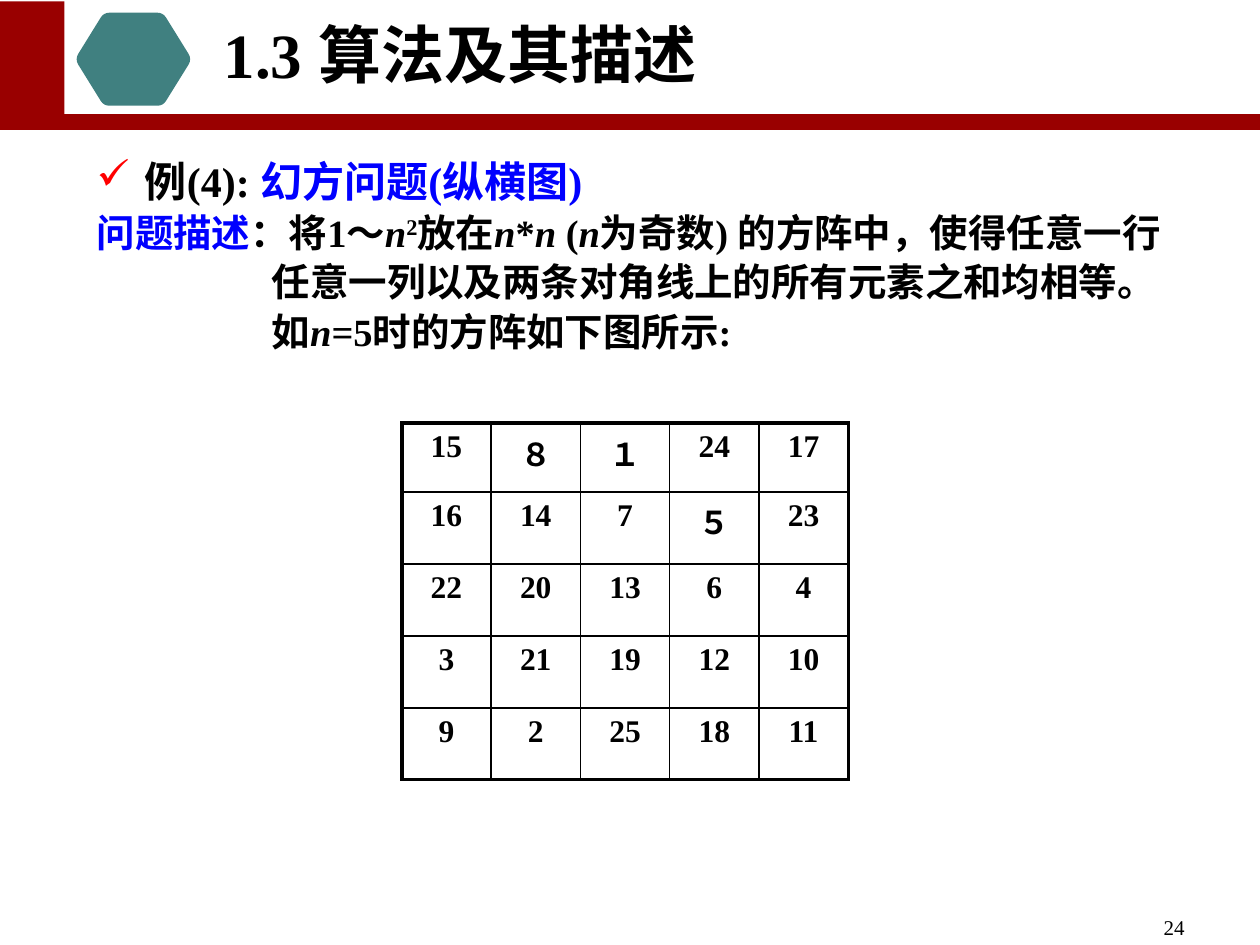
from lxml.etree import SubElement
from pptx import Presentation
from pptx.dml.color import RGBColor
from pptx.enum.shapes import MSO_SHAPE
from pptx.enum.text import PP_ALIGN
from pptx.oxml.ns import qn
from pptx.util import Cm, Pt

RED = RGBColor(0x99, 0, 0)
TICK = "FF0000"
TEAL = RGBColor(0x40, 0x80, 0x80)
BLUE = RGBColor(0, 0, 0xFF)
BLACK = RGBColor(0, 0, 0)
WHITE = RGBColor(0xFF, 0xFF, 0xFF)
LATIN, HAN = "Times New Roman", "Noto Sans CJK SC"

TITLE = {"size": Pt(36), "bold": True}
HEAD = {"size": Pt(24), "bold": True}
BODY = {"size": Pt(22), "bold": True}
CELL = {"size": Pt(18), "bold": True}
PAGE = {"size": Pt(12)}
VAR = {**BODY, "italic": True}

SQUARE = [
    ["15", "８", "１", "24", "17"],
    ["16", "14", "7", "５", "23"],
    ["22", "20", "13", "6", "4"],
    ["3", "21", "19", "12", "10"],
    ["9", "2", "25", "18", "11"],
]


def add_run(para, text, style, color=BLACK, face=LATIN):
    run = para.add_run()
    run.text = text
    for name, value in {"name": face, **style}.items():
        setattr(run.font, name, value)
    run.font.color.rgb = color
    SubElement(run.font._element, qn("a:ea"), typeface=HAN)
    return run


def add_box(slide, left, top, width, height):
    box = slide.shapes.add_textbox(Cm(left), Cm(top), Cm(width), Cm(height))
    box.text_frame.word_wrap = True
    return box.text_frame


def add_shape(slide, kind, color, left, top, width, height):
    shape = slide.shapes.add_shape(
        kind, Cm(left), Cm(top), Cm(width), Cm(height))
    shape.shadow.inherit = False
    shape.fill.solid()
    shape.fill.fore_color.rgb = color
    shape.line.fill.background()
    return shape


def add_badge(slide):
    """Hexagon whose corners are rounded by a thick line of the same colour."""
    badge = add_shape(slide, MSO_SHAPE.HEXAGON, TEAL, 1.75, 0.46, 1.88, 1.47)
    badge.adjustments[0] = 0.31
    badge.line.color.rgb = TEAL
    badge.line.width = Pt(11.5)
    SubElement(badge.line._ln, qn("a:round"))


def indent(para, margin, first):
    props = para._p.get_or_add_pPr()
    props.set("marL", str(Cm(margin)))
    props.set("indent", str(Cm(first)))
    return props


def add_body(slide):
    frame = add_box(slide, 1.7, 3.12, 22.2, 4.6)
    lines = [
        (0.97, -0.97, [("例(4): ", HEAD), ("幻方问题(纵横图)", HEAD, BLUE)]),
        (0.97, -0.97, [
            ("问题描述", BODY, BLUE), ("：将1～", BODY), ("n", VAR),
            ("2", BODY), ("放在", BODY), ("n", VAR), ("*", BODY),
            ("n ", VAR), ("(", BODY), ("n", VAR),
            ("为奇数) 的方阵中，使得任意一行", BODY)]),
        (3.53, 0, [("任意一列以及两条对角线上的所有元素之和均相等。", BODY)]),
        (3.53, 0, [("如", BODY), ("n", VAR),
                   ("=5时的方阵如下图所示:", BODY)]),
    ]
    for row, (margin, first, parts) in enumerate(lines):
        para = frame.add_paragraph() if row else frame.paragraphs[0]
        para.line_spacing = 0.9
        para.space_before = Pt(4.5)
        props = indent(para, margin, first)
        if row == 0:
            tint = SubElement(props, qn("a:buClr"))
            SubElement(tint, qn("a:srgbClr"), val=TICK)
            SubElement(props, qn("a:buChar"), char="✓")
        for part in parts:
            run = add_run(para, *part)
            if part[0] == "2":
                run.font._element.set("baseline", "30000")


def set_edge(cell, side, points):
    edge = SubElement(cell._tc.get_or_add_tcPr(), qn(f"a:{side}"),
                      w=str(Pt(points)))
    fill = SubElement(edge, qn("a:solidFill"))
    SubElement(fill, qn("a:srgbClr"), val=str(BLACK))


def add_square(slide):
    """Magic square with a heavy frame and thin inner lines."""
    count = len(SQUARE)
    last = count - 1
    table = slide.shapes.add_table(
        count, count, Cm(8.1), Cm(8.53), Cm(9), Cm(7.17)).table
    table.first_row = table.horz_banding = False
    for col in table.columns:
        col.width = Cm(1.8)
    for row, line in enumerate(SQUARE):
        table.rows[row].height = Cm(1.45 if row else 1.39)
        for col, text in enumerate(line):
            cell = table.cell(row, col)
            outer = {"lnL": col == 0, "lnR": col == last,
                     "lnT": row == 0, "lnB": row == last}
            for side, heavy in outer.items():
                set_edge(cell, side, 2.25 if heavy else 1)
            cell.fill.background()
            para = cell.text_frame.paragraphs[0]
            para.alignment = PP_ALIGN.CENTER
            add_run(para, text, CELL)


def add_title(slide):
    para = add_box(slide, -0.89, 0.18, 20.32, 1.8).paragraphs[0]
    para.alignment = PP_ALIGN.CENTER
    add_run(para, "1.3 ", TITLE)
    add_run(para, "算法及其描述", TITLE, face=HAN)


def add_page(slide):
    para = add_box(slide, 18.21, 18.31, 5.92, 0.64).paragraphs[0]
    para.alignment = PP_ALIGN.RIGHT
    add_run(para, "24", PAGE)


def main():
    deck = Presentation()
    deck.slide_width, deck.slide_height = Cm(25.4), Cm(19.05)
    slide = deck.slides.add_slide(deck.slide_layouts[6])
    add_shape(slide, MSO_SHAPE.RECTANGLE, RED, 0, 0.03, 25.4, 2.59)
    add_shape(slide, MSO_SHAPE.RECTANGLE, WHITE, 1.3, 0, 24.1, 2.3)
    add_body(slide)
    add_square(slide)
    add_page(slide)
    add_badge(slide)
    add_title(slide)
    deck.save("out.pptx")


if __name__ == "__main__":
    main()
